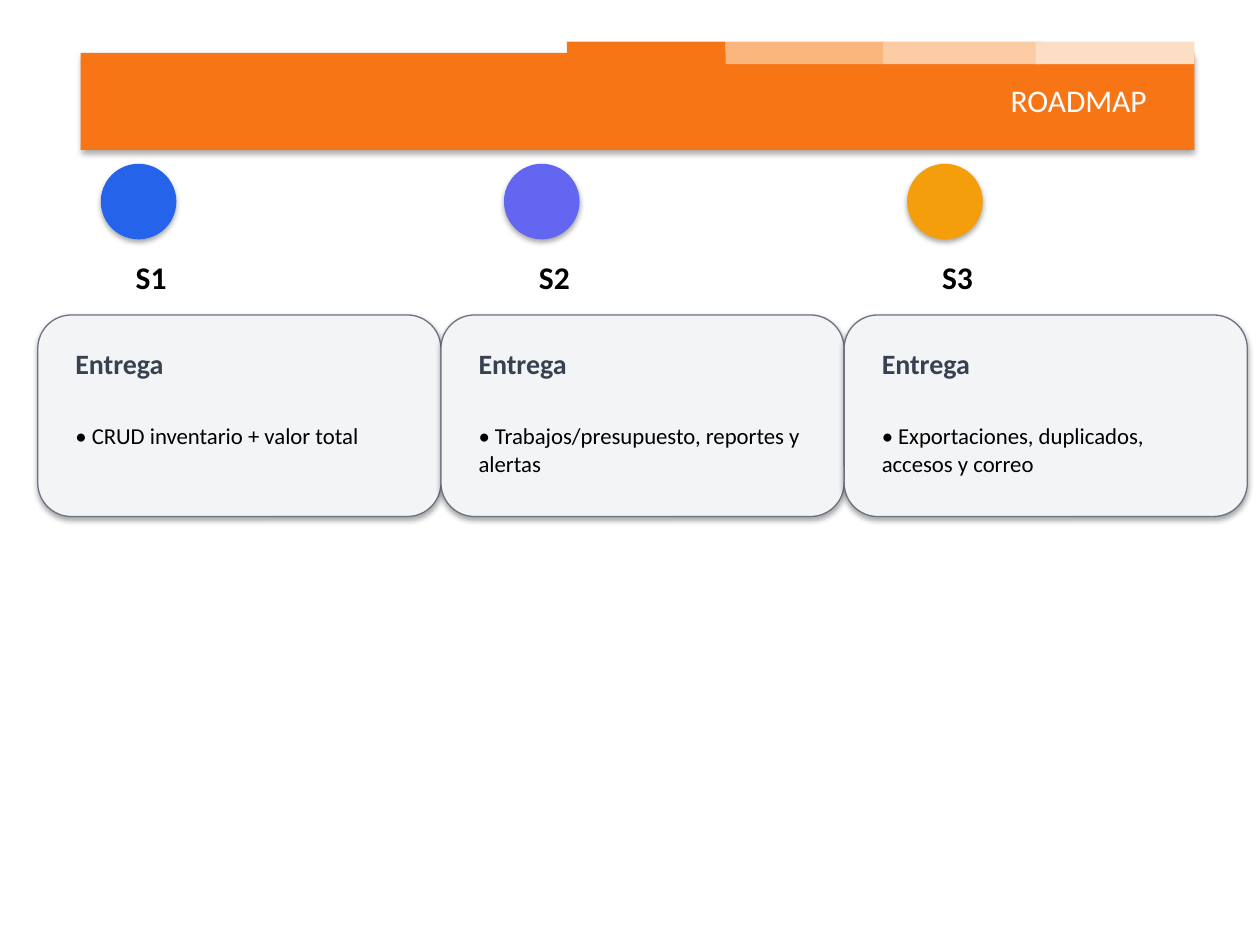
from lxml import etree
from pptx import Presentation
from pptx import util as u
from pptx.dml.color import RGBColor
from pptx.enum import shapes, text
from pptx.oxml import ns

COLORS = {
    "orange": "F87516", "orange_mid": "FAB67D", "orange_soft": "FBCCA4", "orange_pale": "FCDEC4",
    "blue": "2563EB", "indigo": "6366F1", "amber": "F59E0B",
    "card": "F3F4F6", "border": "6B7280", "heading": "374151",
    "black": "000000", "white": "FFFFFF",
}
TABS = [(4.5, "orange"), (5.76, "orange_mid"), (7.01, "orange_soft"), (8.22, "orange_pale")]
STAGES = [
    ("S1", "blue", "CRUD inventario + valor total"),
    ("S2", "indigo", "Trabajos/presupuesto, reportes y alertas"),
    ("S3", "amber", "Exportaciones, duplicados, accesos y correo"),
]
CARD_LEFT, CARD_WIDTH = 0.3, 3.2


def rgb(name):
    """Return the named colour."""
    return RGBColor.from_string(COLORS[name])


def add_shadow(shape):
    """Give a shape a soft shadow falling straight down."""
    effects = shape._element.spPr.find(ns.qn("a:effectLst"))
    shadow = etree.SubElement(effects, ns.qn("a:outerShdw"), blurRad="40000", dist="23000",
                              dir="5400000", rotWithShape="0")
    color = etree.SubElement(shadow, ns.qn("a:srgbClr"), val=COLORS["black"])
    etree.SubElement(color, ns.qn("a:alpha"), val="35000")


def add_block(page, kind, area, fill, border=None, shadow=True):
    """Add a filled preset shape with an optional border and shadow."""
    shape = page.shapes.add_shape(kind, *map(u.Inches, area))
    shape.shadow.inherit = False
    shape.fill.solid()
    shape.fill.fore_color.rgb = rgb(fill)
    if border:
        shape.line.color.rgb = rgb(border)
        shape.line.width = u.Pt(0.75)
    else:
        shape.line.fill.background()
    if shadow:
        add_shadow(shape)
    return shape


def add_text(page, area, words, size, color, bold=False, align=text.PP_ALIGN.LEFT):
    """Add a wrapping text box holding one paragraph."""
    box = page.shapes.add_textbox(*map(u.Inches, area))
    frame = box.text_frame
    frame.word_wrap = True
    para = frame.paragraphs[0]
    para.alignment = align
    span = para.add_run()
    span.text = words
    span.font.name = "Calibri"
    span.font.size = u.Pt(size)
    span.font.bold = bold
    span.font.color.rgb = rgb(color)


def add_banner(page):
    """Add the title banner with its row of tinted tabs."""
    rectangle = shapes.MSO_SHAPE.RECTANGLE
    add_block(page, rectangle, (0.64, 0.42, 8.84, 0.77), "orange")
    for left, color in TABS:
        add_block(page, rectangle, (left, 0.33, 1.26, 0.18), color, shadow=False)
    add_text(page, (5.65, 0.59, 3.55, 0.4), "ROADMAP", 18, "white", align=text.PP_ALIGN.RIGHT)


def add_stage(page, left, name, color, delivery):
    """Add one roadmap stage: marker, name and delivery card."""
    add_block(page, shapes.MSO_SHAPE.OVAL, (left + 0.5, 1.3, 0.6, 0.6), color)
    add_text(page, (left + 0.3, 2, 1.2, 0.4), name, 18, "black", True, text.PP_ALIGN.CENTER)
    add_block(page, shapes.MSO_SHAPE.ROUNDED_RECTANGLE, (left, 2.5, CARD_WIDTH, 1.6),
              "card", "border")
    add_text(page, (left + 0.2, 2.7, 2.8, 0.37), "Entrega", 16, "heading", True)
    add_text(page, (left + 0.2, 3.3, 2.8, 0.54), f"• {delivery}", 13, "black")


def main():
    """Build the roadmap slide."""
    deck = Presentation()
    deck.slide_width, deck.slide_height = u.Inches(10), u.Inches(7.5)
    page = deck.slides.add_slide(deck.slide_layouts[6])
    page.background.fill.solid()
    page.background.fill.fore_color.rgb = rgb("white")
    add_banner(page)
    for index, stage in enumerate(STAGES):
        add_stage(page, CARD_LEFT + index * CARD_WIDTH, *stage)
    deck.save("out.pptx")


if __name__ == "__main__":
    main()
